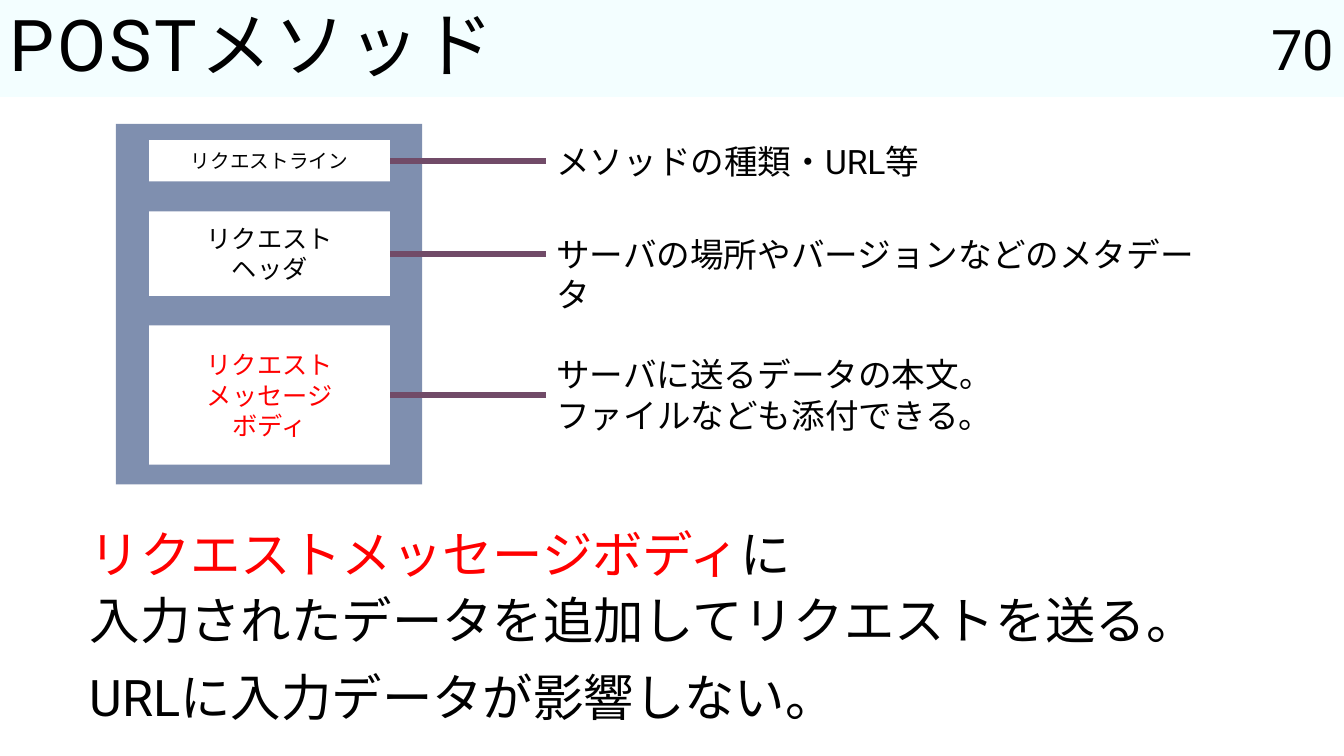
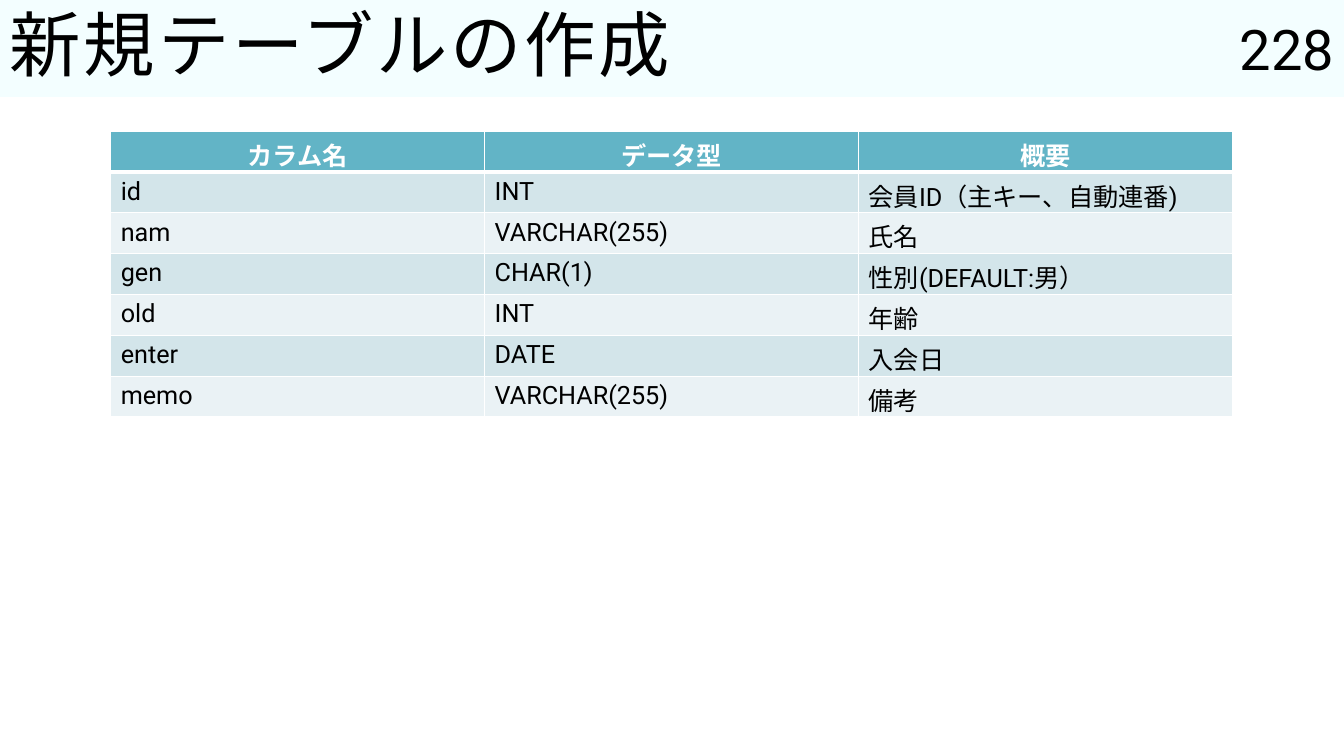
"""Build two slides on the POST method and on creating a table."""
from lxml import etree
from pptx import Presentation
from pptx import util as u
from pptx.dml.color import RGBColor
from pptx.enum import lang, shapes, text
from pptx.oxml.ns import qn

COLORS = {
    "band": "F3FEFF", "ink": "000000", "white": "FFFFFF", "accent": "FF0000",
    "navy": "002060", "link": "714B68",
    "header": "62B4C6", "odd": "D3E5EA", "even": "EAF2F5",
}
LATIN = "Roboto"
CJK = "Noto Sans CJK JP"
WIDTH, HEIGHT, BAND = 33.87, 19.05, 2.44
FIELD_LEFT, FIELD_WIDTH, NOTE_LEFT = 3.76, 6.07, 13.77
MIDDLE = text.MSO_ANCHOR.MIDDLE
CENTER = text.PP_ALIGN.CENTER

FIELDS = [
    (3.53, 1.04, "リクエストライン", 14, "ink",
     "メソッドの種類・URL等", 11.63, 1.27),
    (5.33, 2.13, "リクエスト\nヘッダ", 18, "ink",
     "サーバの場所やバージョンなどのメタデータ", 17.12, 1.27),
    (8.2, 3.51, "リクエスト\nメッセージ\nボディ", 18, "accent",
     "サーバに送るデータの本文。\nファイルなども添付できる。", 16.23, 2.31),
]
COLUMNS = [
    ("カラム名", "データ型", "概要"),
    ("id", "INT", "会員ID（主キー、自動連番)"),
    ("nam", "VARCHAR(255)", "氏名"),
    ("gen", "CHAR(1)", "性別(DEFAULT:男）"),
    ("old", "INT", "年齢"),
    ("enter", "DATE", "入会日"),
    ("memo", "VARCHAR(255)", "備考"),
]


def rgb(name):
    return RGBColor.from_string(COLORS[name])


def cm(*lengths):
    return [u.Cm(length) for length in lengths]


def style_run(run, size, color="ink", latin=LATIN, asian=LATIN, bold=False):
    font = run.font
    font.size, font.bold, font.name = u.Pt(size), bold, latin
    font.color.rgb = rgb(color)
    font.language_id = lang.MSO_LANGUAGE_ID.JAPANESE
    ea = etree.Element(qn("a:ea"), typeface=asian)
    run._r.rPr.find(qn("a:latin")).addnext(ea)


def write(paragraph, content, size, align=None, **style):
    paragraph.text = content
    paragraph.alignment = align
    for run in paragraph.runs:
        style_run(run, size, **style)


def add_block(slide, box, fill):
    block = slide.shapes.add_shape(shapes.MSO_SHAPE.RECTANGLE, *cm(*box))
    block.shadow.inherit = False
    block.fill.solid()
    block.fill.fore_color.rgb = rgb(fill)
    block.line.fill.background()
    block.text_frame.vertical_anchor = MIDDLE
    return block


def add_label(slide, box, content, size, align=None, anchor=text.MSO_ANCHOR.TOP):
    label = slide.shapes.add_textbox(*cm(*box))
    label.text_frame.word_wrap = True
    label.text_frame.vertical_anchor = anchor
    write(label.text_frame.paragraphs[0], content, size, align)
    return label


def add_heading(slide, title, number):
    band = add_block(slide, (0, 0, WIDTH, BAND), "band")
    heading = band.text_frame.paragraphs[0]
    write(heading, title, 51, text.PP_ALIGN.LEFT)
    heading.line_spacing = 0.9
    for run in heading.runs:
        run._r.rPr.set("spc", "200")
    add_label(slide, (WIDTH - 3.81, 0, 3.81, BAND), number, 40,
              text.PP_ALIGN.RIGHT, MIDDLE)


def add_link(slide, start, end):
    link = slide.shapes.add_connector(shapes.MSO_CONNECTOR.STRAIGHT, 0, 0, 0, 0)
    link.begin_connect(start, 3)
    link.end_connect(end, 1)
    link.line.color.rgb = rgb("link")
    link.line.width = u.Pt(4.5)
    etree.SubElement(link._element.spPr, qn("a:effectLst"))


def add_field(slide, top, height, name, size, color, note, note_width, note_height):
    field = add_block(slide, (FIELD_LEFT, top, FIELD_WIDTH, height), "white")
    write(field.text_frame.paragraphs[0], name, size, CENTER, color=color, latin=CJK)
    note_top = top + (height - note_height) / 2
    remark = add_label(slide, (NOTE_LEFT, note_top, note_width, note_height), note, 24)
    add_link(slide, field, remark)


def add_summary(slide):
    summary = add_label(slide, (2.01, 12.9, 30.3, 5.84),
                        "リクエストメッセージボディ", 36)
    request = summary.text_frame.paragraphs[0]
    request.runs[0].font.color.rgb = rgb("accent")
    style_run_text(request, "に")
    request.add_line_break()
    style_run_text(request, "入力されたデータを追加してリクエストを送る。")
    effect = summary.text_frame.add_paragraph()
    write(effect, "URLに入力データが影響しない。", 36)
    effect.space_before = u.Pt(7)
    for paragraph in (request, effect):
        paragraph.line_spacing = 1.1


def style_run_text(paragraph, content):
    run = paragraph.add_run()
    run.text = content
    style_run(run, 36)


def set_borders(cell, is_header, below_header):
    tc_pr = cell._tc.get_or_add_tcPr()
    thick = {"lnB": is_header, "lnT": below_header}
    for side in ("lnL", "lnR", "lnT", "lnB"):
        width = u.Pt(3 if thick.get(side) else 1)
        line = etree.SubElement(tc_pr, qn("a:" + side), w=str(width))
        fill = etree.SubElement(line, qn("a:solidFill"))
        etree.SubElement(fill, qn("a:srgbClr"), val=COLORS["white"])


def add_column_table(slide, rows):
    grid = slide.shapes.add_table(len(rows), len(rows[0]),
                                  *cm(2.79, 3.3, 28.27, 1.03 * len(rows))).table
    for r, row in enumerate(rows):
        is_header = r == 0
        fill = "header" if is_header else "odd" if r % 2 else "even"
        for c, content in enumerate(row):
            cell = grid.cell(r, c)
            set_borders(cell, is_header, r == 1)
            cell.fill.solid()
            cell.fill.fore_color.rgb = rgb(fill)
            if is_header:
                cell.vertical_anchor = MIDDLE
            write(cell.text_frame.paragraphs[0], content, 18,
                  CENTER if is_header else None, asian=CJK, bold=is_header,
                  color="white" if is_header else "ink")


def build_post_slide(slide):
    add_heading(slide, "POSTメソッド", "70")
    request = add_block(slide, (2.92, 3.12, 7.72, 9.09), "navy")
    tint = request._element.spPr.find(qn("a:solidFill"))[0]
    etree.SubElement(tint, qn("a:alpha"), val="50000")
    for field in FIELDS:
        add_field(slide, *field)
    add_summary(slide)


def build_table_slide(slide):
    add_heading(slide, "新規テーブルの作成", "228")
    add_column_table(slide, COLUMNS)


def main():
    deck = Presentation()
    deck.slide_width, deck.slide_height = cm(WIDTH, HEIGHT)
    for build in (build_post_slide, build_table_slide):
        build(deck.slides.add_slide(deck.slide_layouts[6]))
    deck.save("out.pptx")


if __name__ == "__main__":
    main()
